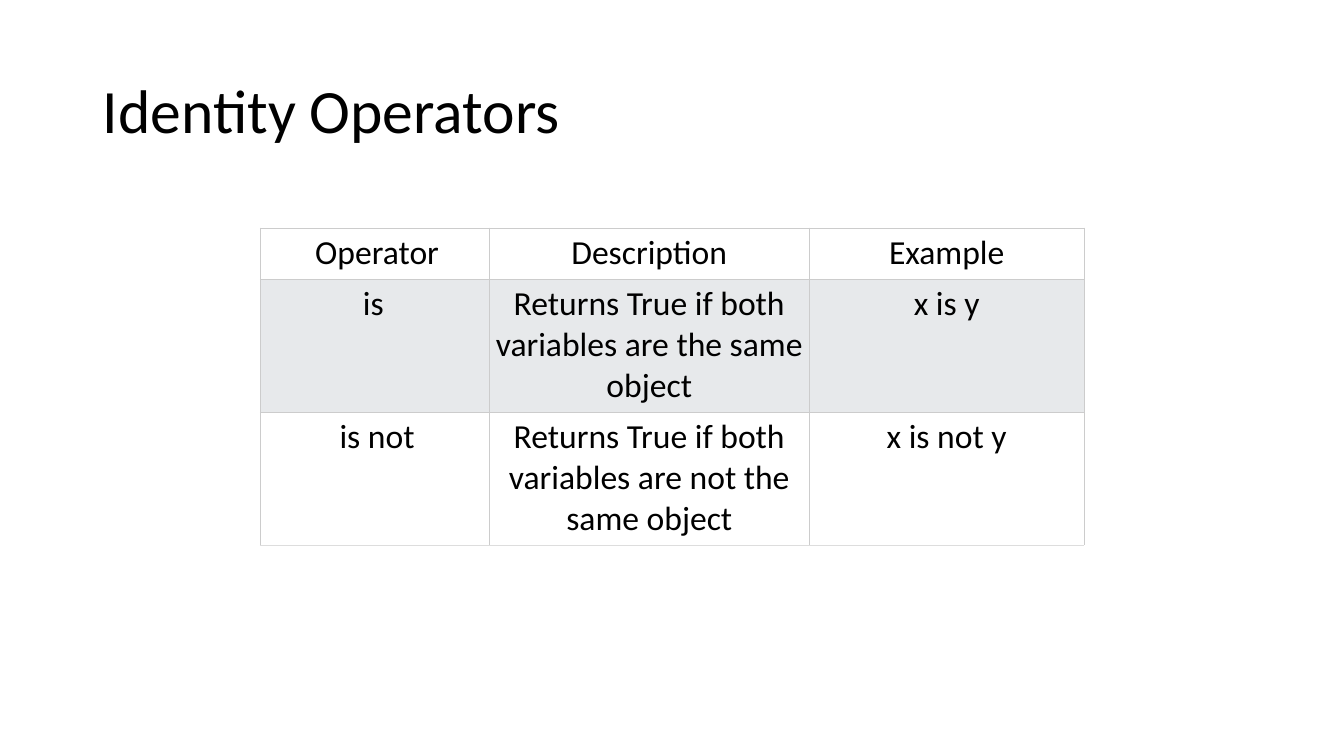
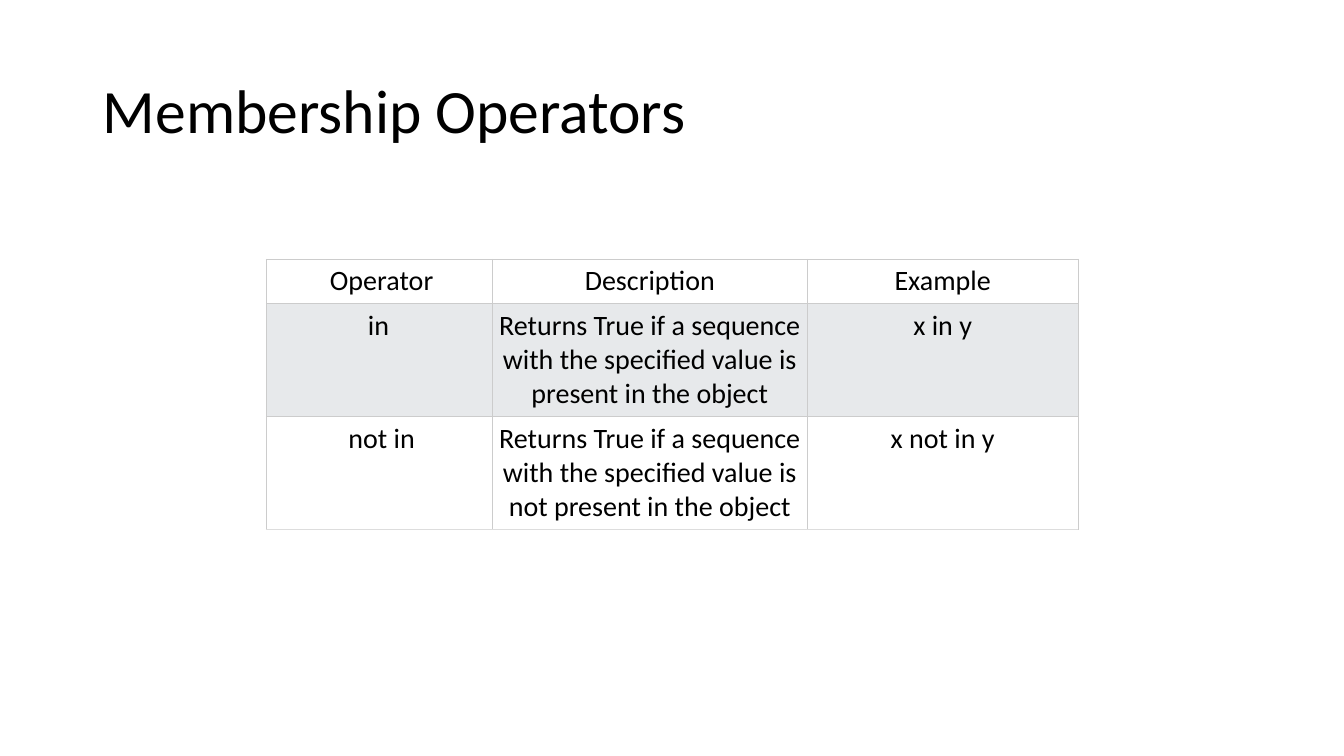
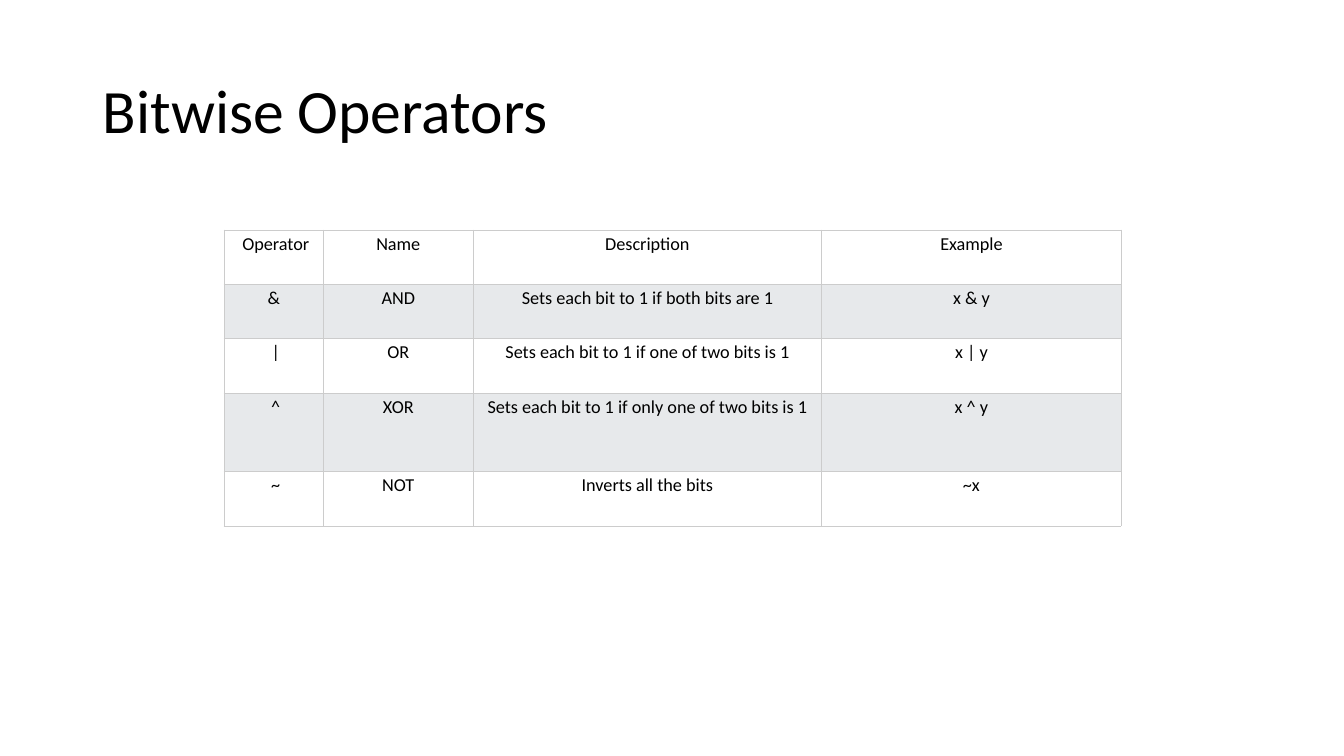
from lxml import etree
from pptx import Presentation
from pptx.dml.color import RGBColor
from pptx.enum.text import MSO_ANCHOR, PP_ALIGN
from pptx.oxml.ns import qn
from pptx.util import Inches, Pt

LEFT, CENTER = PP_ALIGN.LEFT, PP_ALIGN.CENTER
TOP, MIDDLE = MSO_ANCHOR.TOP, MSO_ANCHOR.MIDDLE

# Shared look
FONT = "Calibri"
COLORS = {
    "text": "000000",
    "plain_row": "FFFFFF",
    "shaded_row": "E7E9EB",
    "grid": "CCCCCC",
    "closing_line": "DDDDDD",
}
TITLE_BOX = (0.92, 0.4, 11.5, 1.45)
TITLE_SIZE = 44
BORDER_WIDTH = Pt(0.43)

# Box: left, top, width, height; inset: first column's left, all other sides
OPERATOR_SLIDES = [
    {
        "title": "Identity Operators",
        "box": (2.58, 2.26, 8.17, 3.09),
        "columns": [2.27, 3.18, 2.72],
        "rows": [0.45, 1.32, 1.32],
        "size": 24,
        "inset": (0.1, 0.05),
        "bottom": "closing_line",
        "cells": [
            ["Operator", "Description", "Example"],
            ["is\u00a0", "Returns True if both variables are the same object", "x is y"],
            ["is not", "Returns True if both variables are not the same object", "x is not y"],
        ],
    },
    {
        "title": "Membership Operators",
        "box": (2.64, 2.57, 8.05, 2.62),
        "columns": [2.24, 3.13, 2.68],
        "rows": [0.4, 1.11, 1.11],
        "size": 20,
        "inset": (0.1, 0.05),
        "bottom": "closing_line",
        "cells": [
            ["Operator", "Description", "Example"],
            ["in\u00a0", "Returns True if a sequence with the specified value is present in the object", "x in y"],
            ["not in", "Returns True if a sequence with the specified value is not present in the object", "x not in y"],
        ],
    },
    {
        "title": "Bitwise Operators",
        "box": (2.22, 2.28, 8.9, 2.95),
        "columns": [0.99, 1.48, 3.46, 2.97],
        "rows": [0.54, 0.54, 0.54, 0.78, 0.54],
        "size": 13,
        "inset": (0.07, 0.03),
        "bottom": "grid",
        "cells": [
            ["Operator", "Name", "Description", "Example"],
            ["&\u00a0", "AND", "Sets each bit to 1 if both bits are 1", "x & y"],
            ["|", "OR", "Sets each bit to 1 if one of two bits is 1", "x | y"],
            ["^", "XOR", "Sets each bit to 1 if only one of two bits is 1", "x ^ y"],
            ["~", "NOT", "Inverts all the bits", "~x"],
        ],
    },
]


def format_text(paragraph, size, alignment):
    paragraph.alignment = alignment
    for run in paragraph.runs:
        run.font.name = FONT
        run.font.size = Pt(size)
        run.font.color.rgb = RGBColor.from_string(COLORS["text"])


def add_title(slide, text, box):
    title = slide.shapes.title
    title.left, title.top, title.width, title.height = map(Inches, box)
    frame = title.text_frame
    frame.text = text
    frame.word_wrap = True
    frame.vertical_anchor = MIDDLE
    heading = frame.paragraphs[0]
    heading.line_spacing = 0.9
    format_text(heading, TITLE_SIZE, LEFT)


def set_borders(cell, bottom):
    """Draw the four cell lines; call before filling, as the schema orders lines first."""
    properties = cell._tc.get_or_add_tcPr()
    for side, color in (("L", "grid"), ("R", "grid"), ("T", "grid"), ("B", bottom)):
        line = etree.SubElement(properties, qn(f"a:ln{side}"), w=str(BORDER_WIDTH))
        fill = etree.SubElement(line, qn("a:solidFill"))
        etree.SubElement(fill, qn("a:srgbClr"), val=COLORS[color])


def add_operator_table(slide, content, box):
    cells = content["cells"]
    table = slide.shapes.add_table(len(cells), len(cells[0]), *map(Inches, box)).table
    table.first_row = table.horz_banding = False
    for column, width in zip(table.columns, content["columns"]):
        column.width = Inches(width)
    for row, height in zip(table.rows, content["rows"]):
        row.height = Inches(height)

    first_left, inset = map(Inches, content["inset"])
    for r, texts in enumerate(cells):
        bottom = content["bottom"] if r == len(cells) - 1 else "grid"
        row_color = COLORS["shaded_row" if r % 2 else "plain_row"]
        for c, text in enumerate(texts):
            cell = table.cell(r, c)
            cell.text = text
            format_text(cell.text_frame.paragraphs[0], content["size"], CENTER)
            cell.vertical_anchor = TOP
            cell.margin_left = inset if c else first_left
            cell.margin_top = cell.margin_right = cell.margin_bottom = inset
            set_borders(cell, bottom)
            cell.fill.solid()
            cell.fill.fore_color.rgb = RGBColor.from_string(row_color)


def add_operator_slide(deck, content):
    title_only = deck.slide_layouts[5]
    slide = deck.slides.add_slide(title_only)
    add_title(slide, content["title"], TITLE_BOX)
    add_operator_table(slide, content, content["box"])


deck = Presentation()
deck.slide_width, deck.slide_height = Inches(13.33), Inches(7.5)
for operators in OPERATOR_SLIDES:
    add_operator_slide(deck, operators)
deck.save("out.pptx")
